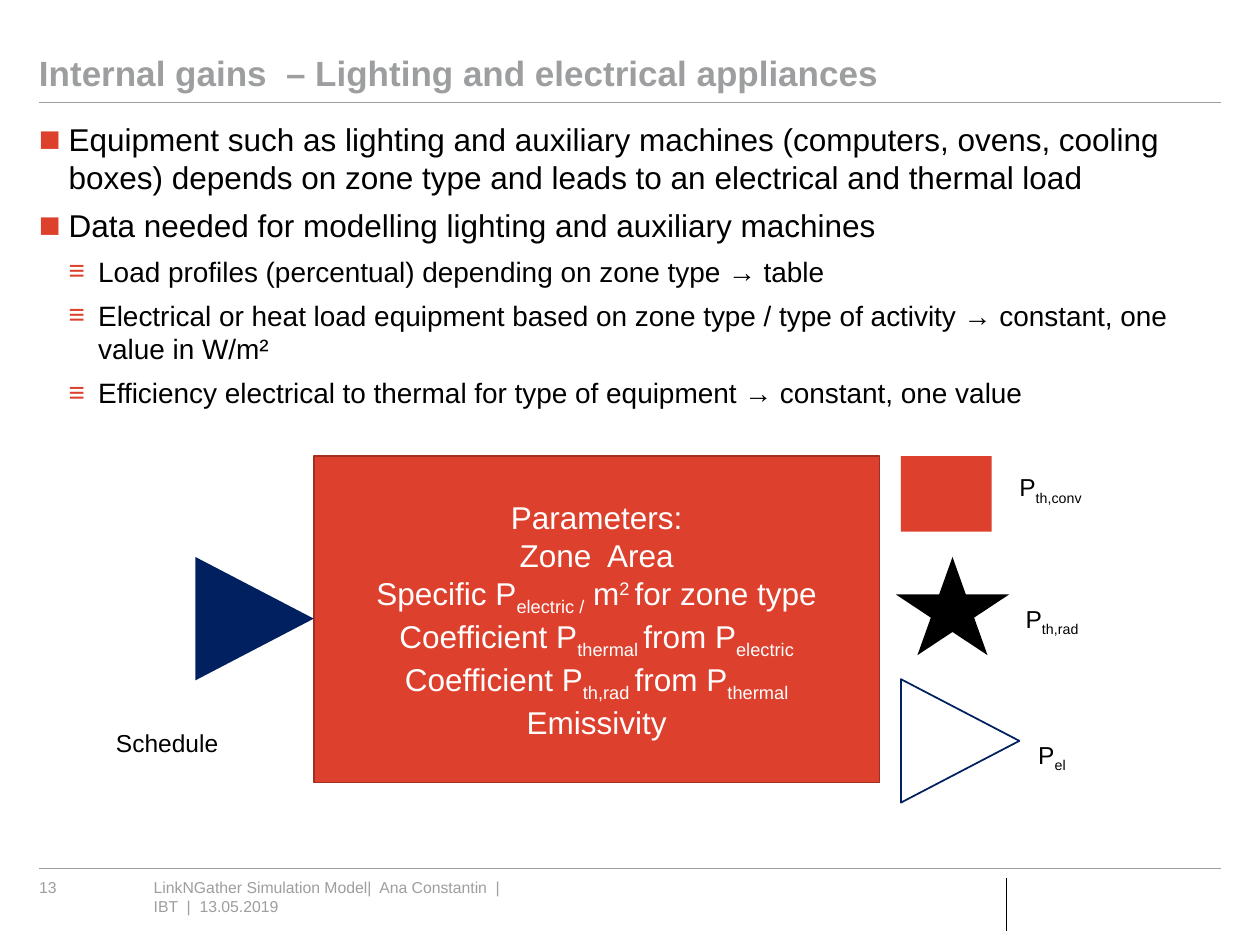
import pptx
import pptx.util
import pptx.dml.color
import pptx.enum.shapes
import pptx.enum.text
import pptx.oxml
import pptx.oxml.ns
import lxml.etree

RGBColor = pptx.dml.color.RGBColor
RED = RGBColor(0xDD, 0x40, 0x2D)
DARK_RED = RGBColor(0xA3, 0x2F, 0x21)
NAVY = RGBColor(0x00, 0x20, 0x60)
GREY = RGBColor(0x9D, 0x9E, 0xA0)
BLACK = RGBColor(0, 0, 0)
WHITE = RGBColor(255, 255, 255)

SHAPE = pptx.enum.shapes.MSO_SHAPE
ANCHOR = pptx.enum.text.MSO_ANCHOR
ALIGN = pptx.enum.text.PP_ALIGN
COLUMNS, ROWS = 100, 75
SUB, SUP = -25000, 30000


class Slide:
    """Draws styled elements on one slide, placed on a grid of 100 columns by 75 rows."""

    font = "Arial"

    def __init__(self, deck):
        self.slide = deck.slides.add_slide(deck.slide_layouts[6])
        self.column = deck.slide_width / COLUMNS
        self.row = deck.slide_height / ROWS

    def place(self, left, top, width, height):
        return (round(left * self.column), round(top * self.row),
                round(width * self.column), round(height * self.row))

    def line(self, left, top, right, bottom, color, weight):
        rule = self.slide.shapes.add_connector(
            pptx.enum.shapes.MSO_CONNECTOR.STRAIGHT, *self.place(left, top, right, bottom))
        rule.line.color.rgb = color
        rule.line.width = pptx.util.Pt(weight)
        lxml.etree.SubElement(rule._element.spPr, pptx.oxml.ns.qn("a:effectLst"))

    def shape(self, kind, box, fill=None, outline=None, rotation=0):
        shape = self.slide.shapes.add_shape(kind, *self.place(*box))
        shape.shadow.inherit = False
        shape.rotation = rotation
        if fill is None:
            shape.fill.background()
        else:
            shape.fill.solid()
            shape.fill.fore_color.rgb = fill
        if outline is None:
            shape.line.fill.background()
        else:
            shape.line.color.rgb = outline
            shape.line.width = pptx.util.Pt(1)
        return shape

    def text(self, box, paragraphs, size, color=BLACK, wrap=True, **style):
        frame = self.slide.shapes.add_textbox(*self.place(*box)).text_frame
        frame.word_wrap = wrap
        frame.margin_left = frame.margin_right = frame.margin_top = frame.margin_bottom = 0
        for index, runs in enumerate(paragraphs):
            self.paragraph(frame, index, runs, size, color, **style)
        return frame

    def paragraph(self, frame, index, runs, size, color, bold=False, align=ALIGN.LEFT):
        paragraph = frame.add_paragraph() if index else frame.paragraphs[0]
        paragraph.alignment = align
        for part in runs:
            words, baseline = part if isinstance(part, tuple) else (part, 0)
            run = paragraph.add_run()
            run.text = words
            if baseline:
                run._r.get_or_add_rPr().set("baseline", str(baseline))
        paragraph.font.name = self.font
        paragraph.font.size = pptx.util.Pt(size)
        paragraph.font.bold = bold
        paragraph.font.color.rgb = color
        return paragraph

    def bullets(self, box, items):
        frame = self.text(box, [], 18)
        for index, (level, words) in enumerate(items):
            size, mark, scale = ((18, "■", 115), (16, "≡", 100))[level]
            paragraph = self.paragraph(frame, index, [words], size, BLACK)
            paragraph.level = level
            paragraph.space_before = pptx.util.Pt(6)
            properties = paragraph._p.get_or_add_pPr()
            indent = pptx.util.Inches(0.235)
            properties.set("marL", str(indent * (level + 1)))
            properties.set("indent", str(-indent))
            namespace = pptx.oxml.ns.nsdecls("a")
            font_defaults = properties.find(pptx.oxml.ns.qn("a:defRPr"))
            for bullet in (f'<a:buClr {namespace}><a:srgbClr val="{RED}"/></a:buClr>',
                           f'<a:buSzPct {namespace} val="{scale * 1000}"/>',
                           f'<a:buFont {namespace} typeface="{self.font}"/>',
                           f'<a:buChar {namespace} char="{mark}"/>'):
                font_defaults.addprevious(pptx.oxml.parse_xml(bullet))

    def panel(self, box, paragraphs):
        frame = self.shape(SHAPE.RECTANGLE, box, RED, DARK_RED).text_frame
        frame.word_wrap = True
        frame.vertical_anchor = ANCHOR.MIDDLE
        for index, runs in enumerate(paragraphs):
            self.paragraph(frame, index, runs, 18, WHITE, align=ALIGN.CENTER)


def main():
    deck = pptx.Presentation()
    deck.slide_width, deck.slide_height = pptx.util.Inches(10), pptx.util.Inches(7.5)
    page = Slide(deck)

    for rule_row in (8.1, 68.9):
        page.line(3.1, rule_row, 96.9, rule_row, GREY, 0.5)
    page.line(79.9, 69.7, 79.9, 73.9, BLACK, 0.75)
    page.text((12.2, 69.7, 29.5, 4.7),
              [["LinkNGather Simulation Model|  Ana Constantin  |  IBT  |  13.05.2019"]], 9, GREY)
    page.text((3.1, 69.7, 7.2, 1.5), [["13"]], 9, GREY)

    title = page.text((3.1, 1.6, 93.7, 5.9),
                      [["Internal gains  – Lighting and electrical appliances"]],
                      20, GREY, bold=True)
    title.vertical_anchor = ANCHOR.BOTTOM
    title.paragraphs[0].line_spacing = 0.9

    page.bullets((3.1, 9.5, 93.7, 57.9), [
        (0, "Equipment such as lighting and auxiliary machines (computers, ovens, cooling boxes) "
            "depends on zone type and leads to an electrical and thermal load"),
        (0, "Data needed for modelling lighting and auxiliary machines"),
        (1, "Load profiles (percentual) depending on zone type → table"),
        (1, "Electrical or heat load equipment based on zone type / type of activity → constant, "
            "one value in W/m²"),
        (1, "Efficiency electrical to thermal for type of equipment → constant, one value"),
    ])

    page.panel((24.9, 36.2, 44.9, 25.9), [
        ["Parameters:"],
        ["Zone  Area"],
        ["Specific P", ("electric /", SUB), " m", ("2 ", SUP), "for zone type"],
        ["Coefficient P", ("thermal ", SUB), "from P", ("electric", SUB)],
        ["Coefficient P", ("th,rad ", SUB), "from P", ("thermal", SUB)],
        ["Emissivity"],
    ])

    page.shape(SHAPE.ISOSCELES_TRIANGLE, (15.3, 44.4, 9.8, 9.4), NAVY, rotation=90)
    page.text((9.2, 57.8, 14.9, 2.4), [["Schedule"]], 14)

    page.shape(SHAPE.RECTANGLE, (71.5, 36.2, 7.2, 6), RED)
    page.shape(SHAPE.STAR_5_POINT, (71.1, 44.2, 9, 7.8), BLACK)
    page.shape(SHAPE.ISOSCELES_TRIANGLE, (71.3, 54.1, 9.8, 9.4), outline=NAVY, rotation=90)
    for left, top, width, output in ((80.9, 37.5, 5.6, "th,conv"),
                                     (81.4, 47.9, 4.7, "th,rad"),
                                     (82.4, 58.7, 2.3, "el")):
        page.text((left, top, width, 2.4), [["P", (output, SUB)]], 14, wrap=False)

    deck.save("out.pptx")


if __name__ == "__main__":
    main()
